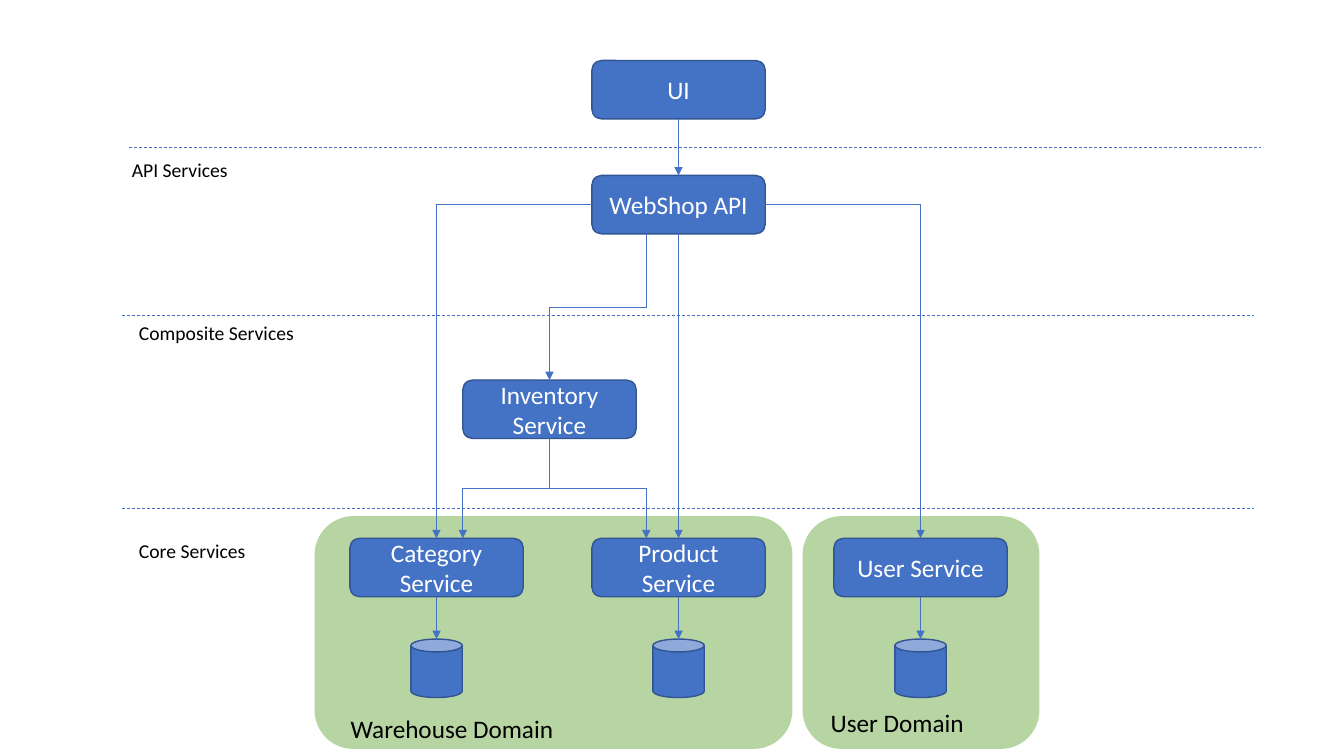
from lxml import etree
from pptx import Presentation
from pptx.dml.color import RGBColor
from pptx.enum import dml, shapes, text
from pptx.oxml import ns
from pptx.util import Inches, Pt

COLORS = {"blue": "4472C4", "outline": "325491", "green": "70AD47",
          "white": "FFFFFF", "black": "000000"}
FONT = "Calibri"
BOX_W, BOX_H = 1.72, 0.58
CAN_W = 0.51
CATEGORY_X, PRODUCT_X, USER_X = 4.33, 6.73, 9.13  # column centres
INVENTORY_X = 5.45
API_Y, INVENTORY_Y, CORE_Y, CAN_Y = 1.74, 3.77, 5.34, 6.34

prs = Presentation()
prs.slide_width, prs.slide_height = Inches(13.33), Inches(7.5)
s = prs.slides.add_slide(prs.slide_layouts[6])


def add_block(kind, x, y, w, h, fill, outline=None):
    sp = s.shapes.add_shape(kind, Inches(x), Inches(y), Inches(w), Inches(h))
    sp.shadow.inherit = False
    sp.fill.solid()
    sp.fill.fore_color.rgb = RGBColor.from_string(COLORS[fill])
    if outline:
        sp.line.color.rgb = RGBColor.from_string(COLORS[outline])
        sp.line.width = Pt(1)
    else:
        sp.line.fill.background()
    return sp


def add_line(x1, y1, x2, y2, route="straight", arrow=True):
    """Route is straight, corner (across, then down) or step (down, across, down)."""
    kind = shapes.MSO_CONNECTOR.STRAIGHT if route == "straight" else shapes.MSO_CONNECTOR.ELBOW
    if route == "step":  # lay the step on its side, then turn it by 90 degrees
        mx, my, dx, dy = (x1 + x2) / 2, (y1 + y2) / 2, (x2 - x1) / 2, (y2 - y1) / 2
        x1, y1, x2, y2 = mx - dy, my + dx, mx + dy, my - dx
    c = s.shapes.add_connector(kind, Inches(x1), Inches(y1), Inches(x2), Inches(y2))
    c.line.color.rgb = RGBColor.from_string(COLORS["blue"])
    c.line.width = Pt(0.5)
    props = c._element.spPr
    if route == "step":
        props.find(ns.qn("a:xfrm")).set("rot", "5400000")
    elif route == "corner":
        props.find(ns.qn("a:prstGeom")).set("prst", "bentConnector2")
    if arrow:
        etree.SubElement(c.line._get_or_add_ln(), ns.qn("a:tailEnd"), type="triangle")
    etree.SubElement(props, ns.qn("a:effectLst"))
    return c


# Domains
for x, w in [(7.96, 2.35), (3.12, 4.74)]:
    sp = add_block(shapes.MSO_SHAPE.ROUNDED_RECTANGLE, x, 5.12, w, 2.31, "green")
    color = sp._element.spPr.find(ns.qn("a:solidFill"))[0]
    etree.SubElement(color, ns.qn("a:alpha"), val="50000")

# Layer separators
for x, y in [(1.28, 1.46), (1.21, 3.13), (1.21, 5.04)]:
    c = add_line(x, y, x + 11.23, y, arrow=False)
    c.line.dash_style = dml.MSO_LINE.DASH

# Services
services = [("UI", PRODUCT_X, 0.6), ("WebShop API", PRODUCT_X, API_Y),
            ("Inventory Service", INVENTORY_X, INVENTORY_Y),
            ("Category Service", CATEGORY_X, CORE_Y),
            ("Product Service", PRODUCT_X, CORE_Y),
            ("User Service", USER_X, CORE_Y)]
for name, x, y in services:
    sp = add_block(shapes.MSO_SHAPE.ROUNDED_RECTANGLE, x - BOX_W / 2, y, BOX_W, BOX_H,
                   "blue", "outline")
    tf = sp.text_frame
    tf.word_wrap = True
    tf.vertical_anchor = text.MSO_ANCHOR.MIDDLE
    p = tf.paragraphs[0]
    p.alignment = text.PP_ALIGN.CENTER
    r = p.add_run()
    r.text = name
    r.font.name, r.font.size = FONT, Pt(18)
    r.font.color.rgb = RGBColor.from_string(COLORS["white"])

# Databases below the core services
for x in (CATEGORY_X, PRODUCT_X, USER_X):
    add_block(shapes.MSO_SHAPE.CAN, x - CAN_W / 2, CAN_Y, CAN_W, BOX_H, "blue", "outline")
    add_line(x, CORE_Y + BOX_H, x, CAN_Y)

# Calls between services
add_line(PRODUCT_X, 0.6 + BOX_H, PRODUCT_X, API_Y)
add_line(PRODUCT_X, API_Y + BOX_H, PRODUCT_X, CORE_Y)
for side, x in [(-1, CATEGORY_X), (1, USER_X)]:
    add_line(PRODUCT_X + side * BOX_W / 2, API_Y + BOX_H / 2, x, CORE_Y, "corner")
add_line(6.41, API_Y + BOX_H, INVENTORY_X, INVENTORY_Y, "step")
for x in (4.59, 6.41):
    add_line(INVENTORY_X, INVENTORY_Y + BOX_H, x, CORE_Y, "step")

# Layer and domain labels
labels = [("API Services", 1.21, 1.52, 1.9, 14),
          ("Composite Services", 1.28, 3.13, 1.9, 14),
          ("Core Services", 1.28, 5.3, 1.9, 14),
          ("Warehouse Domain", 3.38, 7.03, 2.49, 18),
          ("User Domain", 8.14, 6.97, 1.54, 18)]
for label, x, y, w, size in labels:
    height = 0.34 if size == 14 else 0.4
    tf = s.shapes.add_textbox(Inches(x), Inches(y), Inches(w), Inches(height)).text_frame
    tf.word_wrap = True
    tf.auto_size = text.MSO_AUTO_SIZE.SHAPE_TO_FIT_TEXT
    r = tf.paragraphs[0].add_run()
    r.text = label
    r.font.name, r.font.size = FONT, Pt(size)
    r.font.color.rgb = RGBColor.from_string(COLORS["black"])

prs.save("out.pptx")
